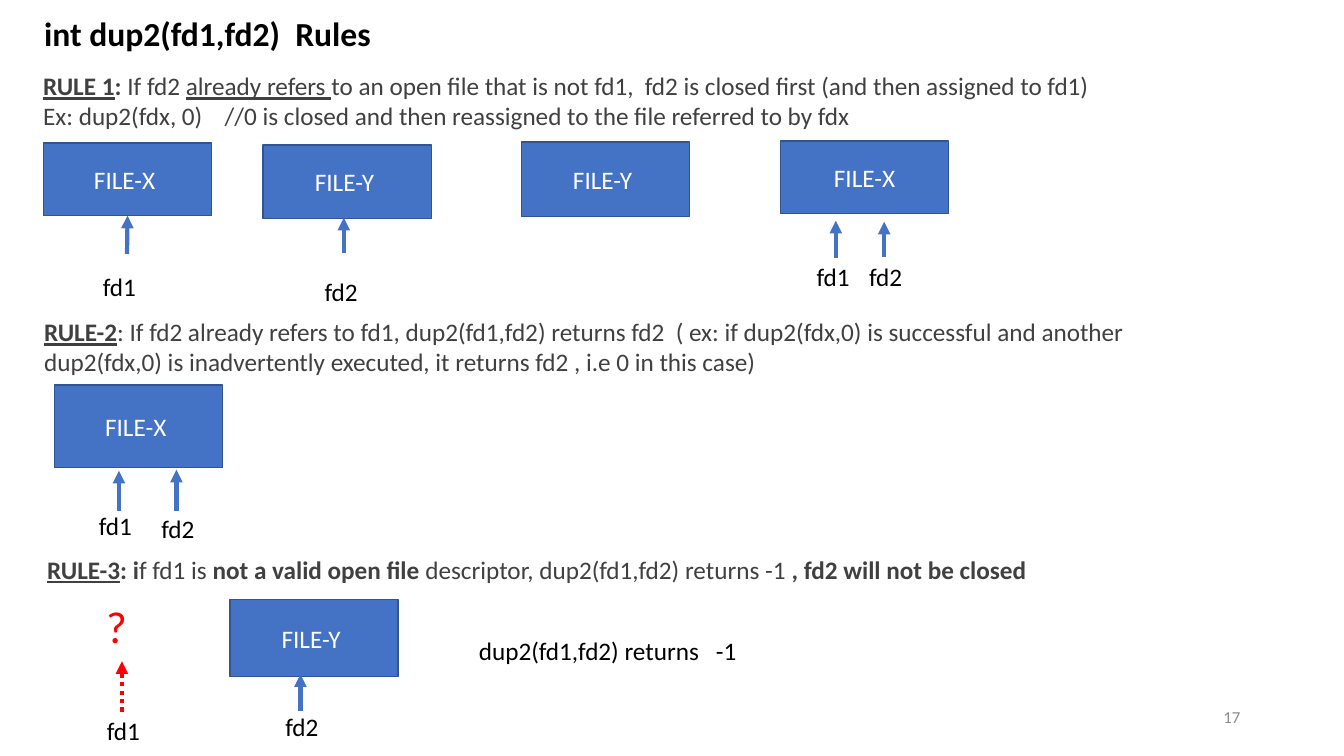
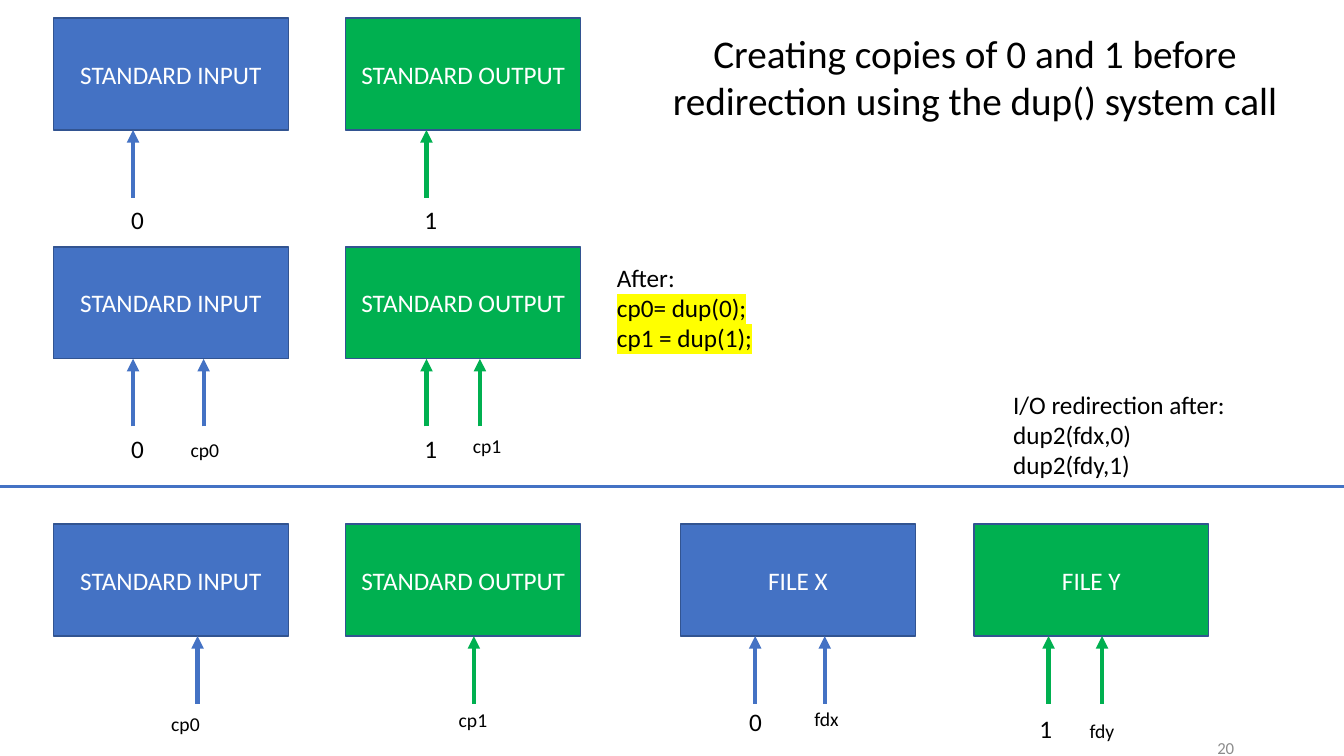
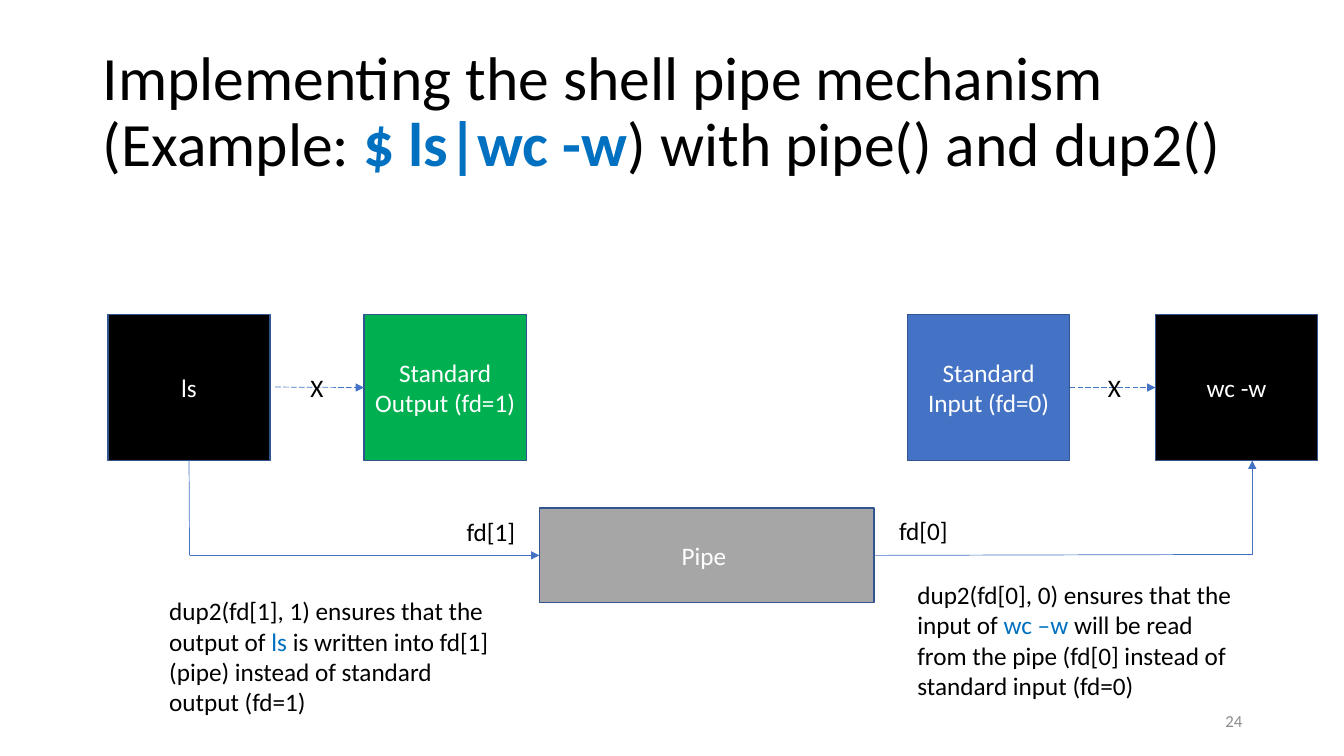
"""Build three slides on dup(), dup2() and pipe redirection."""
from lxml import etree
from pptx import Presentation
from pptx.dml.color import RGBColor
from pptx.enum.dml import MSO_LINE
from pptx.enum.shapes import MSO_CONNECTOR, MSO_SHAPE
from pptx.enum.text import MSO_ANCHOR, PP_ALIGN
from pptx.oxml.ns import qn
from pptx.util import Inches, Pt

LEFT, CENTER, RIGHT = PP_ALIGN.LEFT, PP_ALIGN.CENTER, PP_ALIGN.RIGHT
TOP, MIDDLE = MSO_ANCHOR.TOP, MSO_ANCHOR.MIDDLE
DOTTED, DASHED = MSO_LINE.ROUND_DOT, MSO_LINE.LONG_DASH
SIDE_LEFT, SIDE_BOTTOM, SIDE_RIGHT = 1, 2, 3

FONT = "Calibri"
WIDTH, HEIGHT = 13.33, 7.5
COLORS = {
    "blue": "4472C4", "outline": "325491", "green": "00B050", "red": "FF0000",
    "black": "000000", "white": "FFFFFF", "gray": "A6A6A6", "body": "404040",
    "number": "8C8C8C", "command": "0070C0", "marker": "FFFF00",
}
STYLES = {
    "plain": {},
    "bold": {"bold": True},
    "underline": {"underline": True},
    "heading": {"bold": True, "underline": True},
    "command": {"color": "command"},
    "bold command": {"bold": True, "color": "command"},
    "marked": {"marked": True},
}

RULES = [
    ((0.33, 0.65, 11.62, 0.71), [
        [("RULE 1", "heading"), (": ", "bold"), ("If fd2 ", "plain"),
         ("already refers ", "underline"),
         ("to an open file that is not fd1,  fd2 is closed first (and then assigned to fd1)", "plain")],
        "Ex: dup2(fdx, 0)\t//0 is closed and then reassigned to the file referred to by fdx"], 1.8),
    ((0.34, 3.09, 11.73, 0.71), [
        [("RULE-2", "heading"),
         (": If fd2 already refers to fd1, dup2(fd1,fd2) returns fd2  ( ex: if dup2(fdx,0) is successful "
          "and another dup2(fdx,0) is inadvertently executed, it returns fd2 , i.e 0 in this case)", "plain")]], None),
    ((0.37, 5.45, 12.58, 0.4), [
        [("RULE-3", "heading"), (": i", "bold"), ("f fd1 is ", "plain"),
         ("not a valid open file ", "bold"),
         ("descriptor, dup2(fd1,fd2) returns -1 ", "plain"),
         (", fd2 will not be closed", "bold")]], None),
]
FILE_WIDTH = 1.67
FILES = [
    ("FILE-Y ", 5.17, 1.41, 0.74), ("FILE-Y ", 2.61, 1.44, 0.73),
    ("FILE-X", 7.74, 1.4, 0.72), ("FILE-X ", 0.54, 3.82, 0.82),
    ("FILE-Y ", 2.28, 5.95, 0.76), ("FILE-X ", 0.43, 1.42, 0.72),
]
FILE_POINTERS = [
    ("fd1", 1.26, 2.52, 2.15, (0.69, 2.64, 1.13, 0.4), 0.23, "blue"),
    ("fd2", 3.41, 2.51, 2.16, (2.95, 2.69, 0.84, 0.4), 0.17, "blue"),
    ("fd1", 8.29, 2.56, 2.19, (7.77, 2.54, 1.13, 0.24), 0.23, "blue"),
    ("fd2", 8.77, 2.55, 2.2, (8.35, 2.54, 0.84, 0.24), 0.17, "blue"),
    ("fd1", 1.18, 5.07, 4.67, (0.65, 5.01, 1.13, 0.4), 0.23, "blue"),
    ("fd2", 1.75, 5.07, 4.66, (1.33, 5.04, 0.84, 0.4), 0.17, "blue"),
    ("fd2", 2.98, 7.05, 6.69, (2.56, 7.01, 0.84, 0.4), 0.17, "blue"),
    ("fd1", 1.21, 7.06, 6.56, (0.79, 7.05, 0.84, 0.4), 0.17, "red"),
]

STREAM_COLUMNS = [
    ("STANDARD INPUT", 0.53, "blue"), ("STANDARD OUTPUT", 3.43, "green"),
    ("FILE X", 6.75, "blue"), ("FILE Y", 9.66, "green"),
]
STREAM_ROWS = [(0.18, 2), (2.45, 2), (5.2, 4)]
STREAM_WIDTH, STREAM_HEIGHT, POINTER_LENGTH = 2.33, 1.11, 0.67
STREAM_POINTERS = [
    (0, 0, "0", 1.32, 1.03, 1.98, 0.17), (0, 1, "1", 4.23, 3.94, 1.98, 0.17),
    (1, 0, "0", 1.32, 1.03, 4.25, 0.17), (1, 1, "1", 4.23, 3.94, 4.25, 0.17),
    (1, 0, "cp0", 2.02, 1.7, 4.3, 0.09), (1, 1, "cp1", 4.76, 4.41, 4.26, 0.18),
    (2, 0, "cp0", 1.96, 1.6, 7.01, 0), (2, 1, "cp1", 4.7, 4.32, 6.97, 0.13),
    (2, 2, "0", 7.49, 7.16, 6.96, 0.17), (2, 3, "1", 10.4, 10.04, 7.03, 0.17),
    (2, 2, "fdx", 8.18, 7.98, 6.96, 0), (2, 3, "fdy", 10.93, 10.71, 7.08, 0),
]
STREAM_NOTES = [
    ((9.95, 3.81, 3.65, 1.01), ["I/O redirection after:", "dup2(fdx,0)", "dup2(fdy,1)"]),
    ((6.02, 2.55, 3.65, 1.01),
     ["After:", [("cp0= dup(0);", "marked")], [("cp1 = dup(1);", "marked")]]),
]

PIPE_TITLE = [("Implementing the shell pipe mechanism (Example: ", "plain"),
              ("$ ls|wc -w", "bold command"), (") with pipe() and dup2()", "plain")]
PROCESS_TOP, PROCESS_WIDTH, PROCESS_HEIGHT = 3.12, 1.61, 1.45
PROCESSES = [
    ("ls", 1.07, "black"), ("Standard Output (fd=1)", 3.61, "green"),
    ("Standard Input (fd=0)", 9, "blue"), ("wc -w", 11.46, "black"),
]
PIPE_LABELS = [
    ((2.98, 3.64, 0.33, 0.4), ["X"]), ((10.89, 3.64, 0.33, 0.4), ["X"]),
    ((4.53, 5.07, 0.82, 0.4), ["fd[1]"]), ((8.82, 5.06, 0.82, 0.4), ["fd[0]"]),
    ((1.58, 5.86, 3.47, 1.31),
     [[("dup2(fd[1], 1) ensures that the output of ", "plain"), ("ls", "command"),
       (" is written into fd[1](pipe) instead of standard output (fd=1)", "plain")]]),
    ((9, 5.7, 3.47, 1.31),
     [[("dup2(fd[0], 0) ensures that the input of ", "plain"), ("wc –w", "command"),
       (" will be read from the pipe (fd[0] instead of standard input (fd=0)", "plain")]]),
]


def rgb(name):
    return RGBColor.from_string(COLORS[name])


def format_run(run, size, color, bold=False, underline=False, marked=False):
    font = run.font
    font.name, font.size, font.bold, font.underline = FONT, Pt(size), bold, underline
    font.color.rgb = rgb(color)
    if marked:
        highlight = etree.Element(qn("a:highlight"))
        etree.SubElement(highlight, qn("a:srgbClr"), val=COLORS["marker"])
        run._r.get_or_add_rPr().find(qn("a:solidFill")).addnext(highlight)


def fill_text(frame, paragraphs, size, color, align, anchor):
    frame.word_wrap = True
    frame.vertical_anchor = anchor
    for index, content in enumerate(paragraphs):
        paragraph = frame.paragraphs[0] if index == 0 else frame.add_paragraph()
        paragraph.alignment = align
        runs = [(content, "plain")] if isinstance(content, str) else content
        for text, style in runs:
            run = paragraph.add_run()
            run.text = text
            format_run(run, size, **{"color": color, **STYLES[style]})


def add_text(slide, at, paragraphs, size=18, color="black", align=LEFT, anchor=TOP, indent=0, tab=None):
    shape = slide.shapes.add_textbox(*map(Inches, at))
    frame = shape.text_frame
    fill_text(frame, paragraphs, size, color, align, anchor)
    frame.margin_left = Inches(0.1 + indent)
    if tab:
        stops = etree.SubElement(frame.paragraphs[-1]._p.get_or_add_pPr(), qn("a:tabLst"))
        etree.SubElement(stops, qn("a:tab"), pos=str(Inches(tab)), algn="l")
    return shape


def add_box(slide, at, label, fill="blue"):
    shape = slide.shapes.add_shape(MSO_SHAPE.RECTANGLE, *map(Inches, at))
    shape.shadow.inherit = False
    shape.fill.solid()
    shape.fill.fore_color.rgb = rgb(fill)
    shape.line.color.rgb = rgb("outline")
    shape.line.width = Pt(1)
    fill_text(shape.text_frame, [label], 18, "white", CENTER, MIDDLE)
    return shape


def add_line(slide, start, end, color="blue", width=0.5, dash=None, arrow=True, begin_join=None, end_join=None):
    line = slide.shapes.add_connector(MSO_CONNECTOR.STRAIGHT, *map(Inches, start + end))
    line.line.color.rgb = rgb(color)
    line.line.width = Pt(width)
    if dash:
        line.line.dash_style = dash
    properties = line._element.spPr
    if arrow:
        etree.SubElement(properties.find(qn("a:ln")), qn("a:tailEnd"), type="triangle")
    etree.SubElement(properties, qn("a:effectLst"))
    if begin_join:
        line.begin_connect(*begin_join)
    if end_join:
        line.end_connect(*end_join)


def add_page_number(slide, number, left, top, height=0.4):
    add_text(slide, (left, top, 3, height), [number], 12, "number", RIGHT, MIDDLE)


def build_rules(slide):
    add_page_number(slide, "17", 9.4, 6.91)
    add_text(slide, (0.34, 0.08, 3.74, 0.5), [[("int dup2(fd1,fd2)  Rules", "bold")]], 24)
    for at, paragraphs, tab in RULES:
        add_text(slide, at, paragraphs, color="body", tab=tab)
    boxes = [add_box(slide, (left, top, FILE_WIDTH, height), label)
             for label, left, top, height in FILES]
    for index, (name, x, tail, tip, at, indent, color) in enumerate(FILE_POINTERS):
        add_line(slide, (x, tail), (x, tip), color, 3, DOTTED if color == "red" else None,
                 end_join=(boxes[-1], SIDE_BOTTOM) if index == 0 else None)
        add_text(slide, at, [name], indent=indent)
    add_text(slide, (0.37, 5.87, FILE_WIDTH, 0.67), ["? "], 32, "red", CENTER, MIDDLE)
    add_text(slide, (4.59, 6.25, 3.74, 0.4), ["dup2(fd1,fd2) returns\t-1"], indent=0.06, tab=2.35)


def build_copies(slide):
    add_page_number(slide, "20", 9.34, 7.29, 0.25)
    for top, count in STREAM_ROWS:
        for label, left, color in STREAM_COLUMNS[:count]:
            add_box(slide, (left, top, STREAM_WIDTH, STREAM_HEIGHT), label, color)
    for row, column, name, x, left, top, indent in STREAM_POINTERS:
        tip = STREAM_ROWS[row][0] + STREAM_HEIGHT
        add_line(slide, (x, tip + POINTER_LENGTH), (x, tip), STREAM_COLUMNS[column][2], 3)
        width, height, size = (0.84, 0.25, 18) if name.isdigit() else (1.16, 0.34, 14)
        add_text(slide, (left, top, width, height), [name], size, indent=indent)
    add_text(slide, (6.34, 0.24, 6.66, 1.04),
             ["Creating copies of 0 and 1 before redirection using the dup() system call"], 28, align=CENTER)
    for at, paragraphs in STREAM_NOTES:
        add_text(slide, at, paragraphs)
    add_line(slide, (-0.04, 4.83), (WIDTH, 4.83), width=2.25, arrow=False)


def build_pipe(slide):
    title = add_text(slide, (0.92, 0.4, 11.5, 1.45), [PIPE_TITLE], 44, anchor=MIDDLE)
    title.text_frame.paragraphs[0].line_spacing = 0.9
    add_page_number(slide, "24", 9.42, 6.95)
    writer, output, source, reader = [
        add_box(slide, (left, PROCESS_TOP, PROCESS_WIDTH, PROCESS_HEIGHT), label, color)
        for label, left, color in PROCESSES]
    pipe = add_box(slide, (5.35, 5.04, 3.32, 0.94), "Pipe ", "gray")
    add_line(slide, (2.73, 3.84), (3.61, 3.84), dash=DASHED, end_join=(output, SIDE_LEFT))
    add_line(slide, (10.61, 3.84), (11.46, 3.84), dash=DASHED,
             begin_join=(source, SIDE_RIGHT), end_join=(reader, SIDE_LEFT))
    add_line(slide, (1.88, 4.57), (1.88, 5.51), arrow=False, begin_join=(writer, SIDE_BOTTOM))
    add_line(slide, (1.88, 5.51), (5.35, 5.51), end_join=(pipe, SIDE_LEFT))
    add_line(slide, (8.67, 5.51), (12.42, 5.5), arrow=False, begin_join=(pipe, SIDE_RIGHT))
    add_line(slide, (12.42, 5.51), (12.42, 4.57))
    for at, paragraphs in PIPE_LABELS:
        add_text(slide, at, paragraphs)


def main():
    presentation = Presentation()
    presentation.slide_width, presentation.slide_height = Inches(WIDTH), Inches(HEIGHT)
    for build in (build_rules, build_copies, build_pipe):
        build(presentation.slides.add_slide(presentation.slide_layouts[6]))
    presentation.save("out.pptx")


if __name__ == "__main__":
    main()
